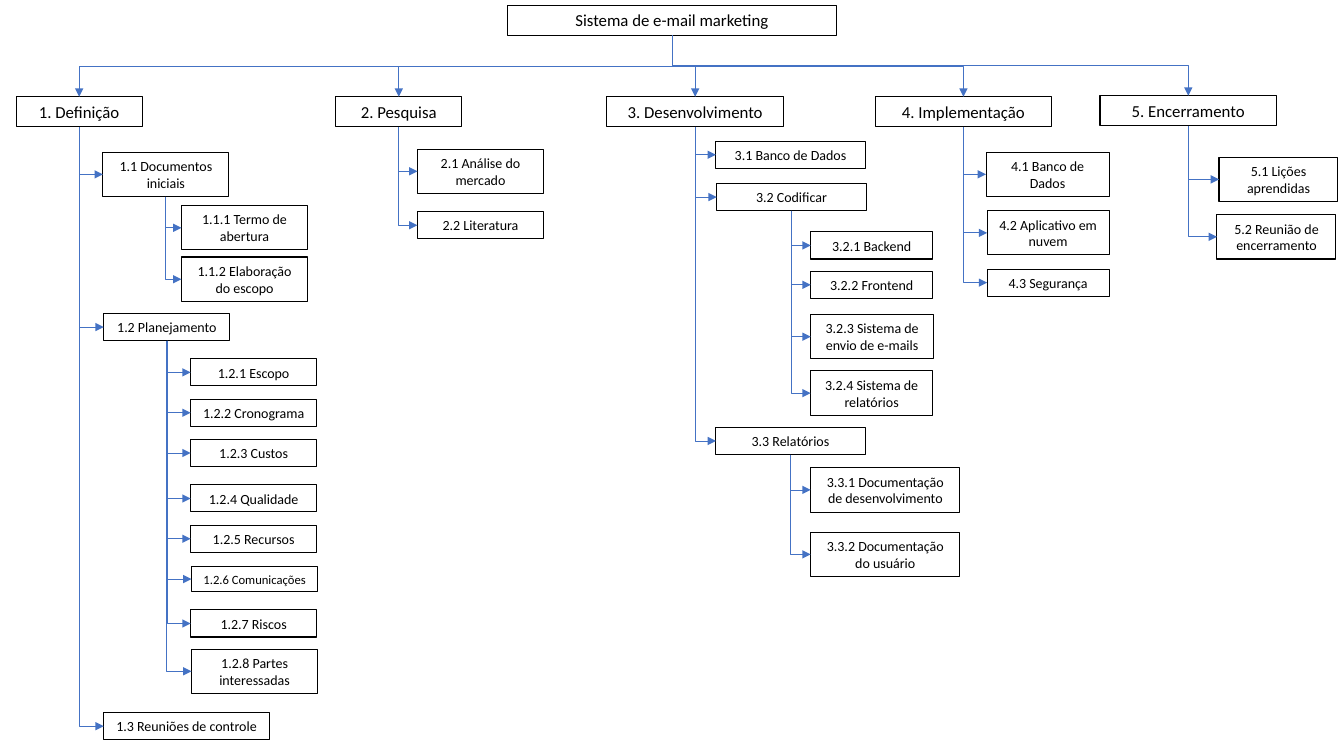
"""Draw the work breakdown structure of an e-mail marketing system."""

from dataclasses import dataclass
from typing import NamedTuple

from lxml.etree import SubElement
from pptx import Presentation
from pptx.dml.color import RGBColor
from pptx.enum.shapes import MSO_CONNECTOR as Connector, MSO_SHAPE as Preset
from pptx.enum.text import MSO_ANCHOR as Anchor, MSO_AUTO_SIZE as AutoSize, PP_ALIGN as Align
from pptx.oxml.ns import qn
from pptx.shapes.autoshape import Shape
from pptx.slide import Slide
from pptx.util import Inches, Pt


@dataclass(frozen=True)
class Theme:
    """Hold the colours, type sizes and line widths."""

    ink: RGBColor = RGBColor(0x00, 0x00, 0x00)
    arrow: RGBColor = RGBColor(0x44, 0x72, 0xC4)
    font: str = "Calibri"
    heading: int = 12
    body: int = 10
    small: int = 9
    border: float = 0.75
    arrow_width: float = 0.5


class Node(NamedTuple):
    """Describe one box, with its place in inches and its text size."""

    text: str
    left: float
    top: float
    width: float
    height: float
    size: int = Theme.body

    @property
    def code(self) -> str:
        """Return the outline number."""
        return self.text.split()[0].rstrip(".")

    @property
    def parent_code(self) -> str:
        """Return the outline number one level up, empty for a phase."""
        return self.code.rpartition(".")[0]


THEME = Theme()
PHASE, ONE_LINE, TWO_LINES = 0.3, 0.27, 0.44
TOP_SIDE, LEFT_SIDE, BOTTOM_SIDE = 0, 1, 2

ROOT = Node("Sistema de e-mail marketing", 5.03, 0.05, 3.27, PHASE, THEME.heading)
NODES = [
    Node("1. Definição", 0.16, 0.96, 1.25, PHASE, THEME.heading),
    Node("1.1 Documentos iniciais", 1.02, 1.51, 1.25, TWO_LINES),
    Node("1.1.1 Termo de abertura", 1.8, 2.04, 1.25, TWO_LINES),
    Node("1.1.2 Elaboração do escopo", 1.8, 2.55, 1.25, TWO_LINES),
    Node("1.2 Planejamento", 1.03, 3.11, 1.25, ONE_LINE),
    Node("1.2.1 Escopo", 1.89, 3.56, 1.25, ONE_LINE),
    Node("1.2.2 Cronograma", 1.89, 3.96, 1.25, ONE_LINE),
    Node("1.2.3 Custos", 1.89, 4.36, 1.25, ONE_LINE),
    Node("1.2.4 Qualidade", 1.89, 4.81, 1.25, ONE_LINE),
    Node("1.2.5 Recursos", 1.89, 5.21, 1.25, ONE_LINE),
    Node("1.2.6 Comunicações", 1.9, 5.62, 1.25, 0.25, THEME.small),
    Node("1.2.7 Riscos", 1.89, 6.05, 1.25, ONE_LINE),
    Node("1.2.8 Partes interessadas", 1.9, 6.44, 1.25, TWO_LINES),
    Node("1.3 Reuniões de controle", 1.03, 7.07, 1.64, ONE_LINE),
    Node("2. Pesquisa", 3.33, 0.96, 1.25, PHASE, THEME.heading),
    Node("2.1 Análise do mercado", 4.14, 1.48, 1.25, TWO_LINES),
    Node("2.2 Literatura", 4.14, 2.1, 1.25, ONE_LINE),
    Node("3. Desenvolvimento", 6.02, 0.96, 1.75, PHASE, THEME.heading),
    Node("3.1 Banco de Dados", 7.1, 1.4, 1.48, ONE_LINE),
    Node("3.2 Codificar", 7.11, 1.82, 1.48, ONE_LINE),
    Node("3.2.1 Backend", 8.04, 2.3, 1.21, ONE_LINE),
    Node("3.2.2 Frontend", 8.04, 2.69, 1.21, ONE_LINE),
    Node("3.2.3 Sistema de envio de e-mails", 8.04, 3.12, 1.22, TWO_LINES),
    Node("3.2.4 Sistema de relatórios", 8.04, 3.68, 1.21, TWO_LINES),
    Node("3.3 Relatórios", 7.1, 4.24, 1.48, ONE_LINE),
    Node("3.3.1 Documentação de desenvolvimento", 8.04, 4.64, 1.48, TWO_LINES),
    Node("3.3.2 Documentação do usuário", 8.04, 5.28, 1.48, TWO_LINES),
    Node("4. Implementação", 8.68, 0.96, 1.75, PHASE, THEME.heading),
    Node("4.1 Banco de Dados", 9.78, 1.51, 1.22, TWO_LINES),
    Node("4.2 Aplicativo em nuvem", 9.79, 2.09, 1.21, TWO_LINES),
    Node("4.3 Segurança", 9.79, 2.67, 1.21, ONE_LINE),
    Node("5. Encerramento", 10.91, 0.95, 1.75, PHASE, THEME.heading),
    Node("5.1 Lições aprendidas", 12.09, 1.56, 1.18, TWO_LINES),
    Node("5.2 Reunião de encerramento", 12.07, 2.13, 1.18, TWO_LINES),
]


def format_box(shape: Shape, node: Node) -> None:
    """Place the shape and give it the node's text and outline."""
    shape.left, shape.top = Inches(node.left), Inches(node.top)
    shape.width, shape.height = Inches(node.width), Inches(node.height)
    shape.fill.background()
    shape.line.color.rgb = THEME.ink
    shape.line.width = Pt(THEME.border)
    frame = shape.text_frame
    frame.text = node.text
    frame.word_wrap = True
    frame.auto_size = AutoSize.NONE
    frame.vertical_anchor = Anchor.MIDDLE
    paragraph = frame.paragraphs[0]
    paragraph.alignment = Align.CENTER
    font = paragraph.runs[0].font
    font.name, font.size = THEME.font, Pt(node.size)
    font.color.rgb = THEME.ink


def add_box(slide: Slide, node: Node) -> Shape:
    """Add one outlined box."""
    shape = slide.shapes.add_shape(Preset.RECTANGLE, 0, 0, 0, 0)
    shape.shadow.inherit = False
    format_box(shape, node)
    return shape


def add_arrow(slide: Slide, parent: Shape, child: Shape, side: int) -> None:
    """Add an elbow arrow that leaves the parent downwards and ends at a side of the child."""
    connector = slide.shapes.add_connector(Connector.ELBOW, 0, 0, 0, 0)
    connector.begin_connect(parent, BOTTOM_SIDE)
    connector.end_connect(child, side)
    connector.line.color.rgb = THEME.arrow
    connector.line.width = Pt(THEME.arrow_width)

    goes_right = connector.end_x > connector.begin_x
    across, down = connector.width, connector.height
    connector.left += (across - down) // 2
    connector.top += (down - across) // 2
    connector.width, connector.height = down, across

    properties = connector._element.spPr
    transform = properties.find(qn("a:xfrm"))
    transform.set("rot", str((270 if goes_right else 90) * 60000))
    transform.set("flipH", "1" if goes_right else "0")
    if side == LEFT_SIDE:
        properties.find(qn("a:prstGeom")).set("prst", "bentConnector2")
    SubElement(properties.find(qn("a:ln")), qn("a:tailEnd"), type="triangle")
    SubElement(properties, qn("a:effectLst"))


def main() -> None:
    """Build and save the slide."""
    presentation = Presentation()
    presentation.slide_width, presentation.slide_height = Inches(13.33), Inches(7.5)
    slide = presentation.slides.add_slide(presentation.slide_layouts[5])

    format_box(slide.shapes.title, ROOT)
    boxes = {"": slide.shapes.title}
    boxes.update({node.code: add_box(slide, node) for node in NODES})
    for node in NODES:
        side = LEFT_SIDE if node.parent_code else TOP_SIDE
        add_arrow(slide, boxes[node.parent_code], boxes[node.code], side)

    presentation.save("out.pptx")


if __name__ == "__main__":
    main()
